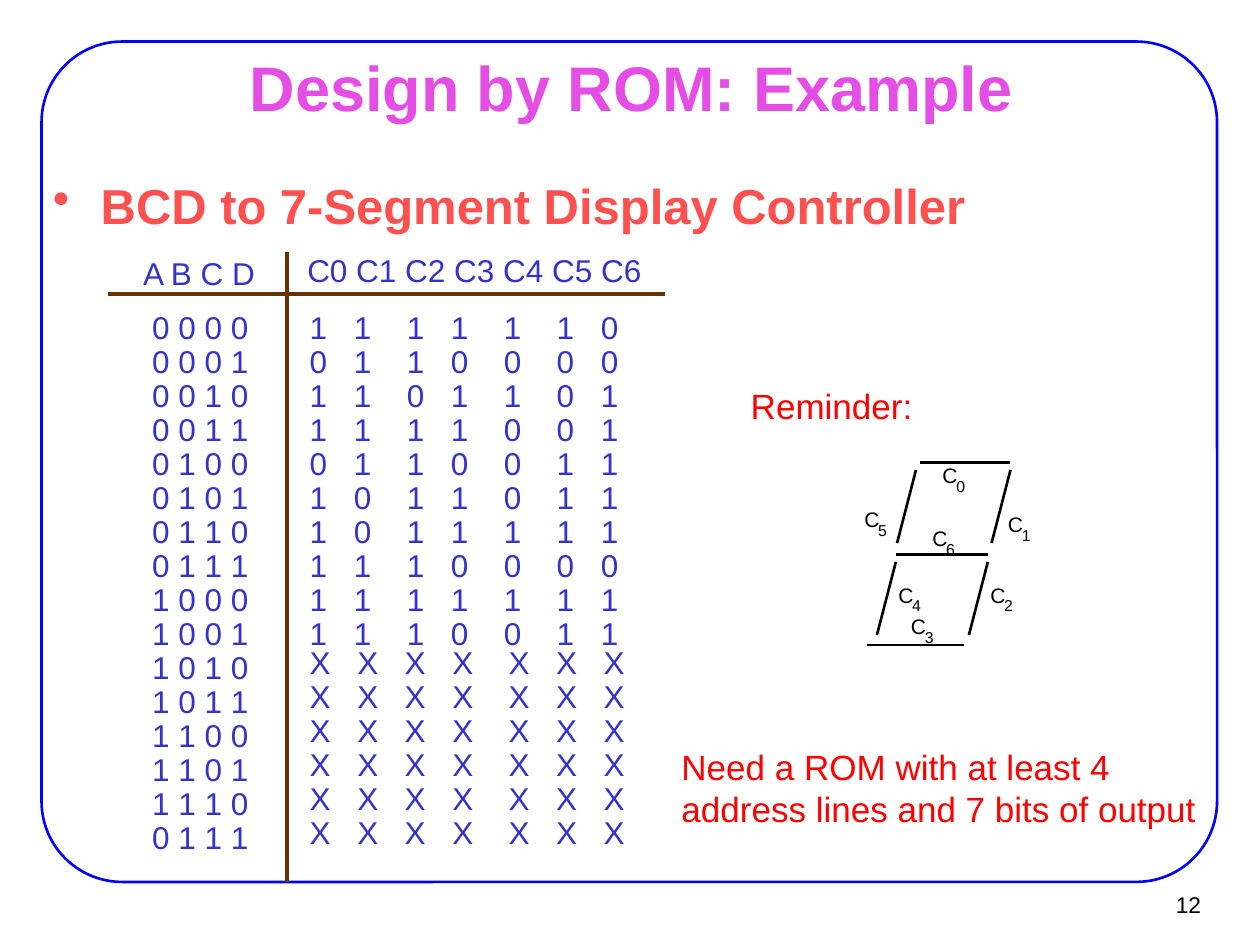
from itertools import accumulate
from lxml.etree import SubElement
from pptx import Presentation
from pptx.dml.color import RGBColor as Rgb
from pptx.enum.shapes import MSO_CONNECTOR as Conn, MSO_SHAPE as Shape
from pptx.enum.text import MSO_ANCHOR as Anchor, PP_ALIGN as Align
from pptx.oxml.ns import qn
from pptx.util import Inches, Pt

WIDE, HIGH = 10, 7.5
HUES = {"frame": "0000FF", "title": "E44EE4", "head": "FF5050", "rule": "663300",
        "cell": "3333CC", "note": "FF0000", "ink": "000000"}

TITLE = "Design by ROM: Example"
HEAD = "BCD to 7-Segment Display Controller"
NEED = "Need a ROM with at least 4 address lines and 7 bits of output"
LOW = ["0000", "0001", "0010", "0011", "0100", "0101", "0110", "0111"]
HIGHER = ["1000", "1001", "1010", "1011", "1100", "1101", "1110", "0111"]
CODES = ["1111110", "0110000", "1101101", "1111001", "0110011",
         "1011011", "1011111", "1110000", "1111111", "1110011"]
UNUSED = ["X" * 7] * 6

# Gaps between output columns, in widths of a space
GAPS = [3, 4, 3, 4, 4, 3]
GAPS_X = [3, 3, 3, 4, 3, 3]
SPACE, DIGIT, CROSS = 0.07, 0.14, 0.167

# Segments: left and top of the start, then the run and the drop
BARS = [(7.3, 3.67, 0.72), (7.11, 4.4, 0.73), (6.88, 5.12, 0.77)]
SLANTS = [(7.27, 3.73), (8.02, 3.73), (7.11, 4.46), (7.84, 4.46)]
LEAN, DROP = -0.15, 0.58
# Place of each label C0 to C6
LABELS = [(7.48, 3.67), (8, 4.06), (7.86, 4.62), (7.23, 4.87),
          (7.13, 4.62), (6.86, 4.02), (7.4, 4.17)]

deck = Presentation()
deck.slide_width, deck.slide_height = Inches(WIDE), Inches(HIGH)
slide = deck.slides.add_slide(deck.slide_layouts[6])


def write(lines, box, size, hue, home=slide, bold=False, align=Align.LEFT,
          anchor=Anchor.TOP, pad=(0.1, 0.05), wrap=True, lead=None, tabs=()):
    """Add a text box with one paragraph per line and return it."""
    shape = home.shapes.add_textbox(*map(Inches, box))
    frame = shape.text_frame
    frame.word_wrap, frame.vertical_anchor = wrap, anchor
    frame.margin_left = frame.margin_right = Inches(pad[0])
    frame.margin_top = frame.margin_bottom = Inches(pad[1])
    frame.text = "\n".join(lines)
    for para in frame.paragraphs:
        para.alignment, para.line_spacing = align, lead
        font = para.runs[0].font
        font.name, font.size, font.bold = "Arial", Pt(size), bold
        font.color.rgb = Rgb.from_string(HUES[hue])
        if tabs:
            stops = SubElement(para._p.get_or_add_pPr(), qn("a:tabLst"))
            for stop in tabs:
                SubElement(stops, qn("a:tab"), pos=str(Inches(stop)), algn="l")
    return shape


def draw(x, y, run, drop, hue="ink", width=1.5):
    line = slide.shapes.add_connector(
        Conn.STRAIGHT, *map(Inches, (x, y, x + run, y + drop)))
    line.line.color.rgb = Rgb.from_string(HUES[hue])
    line.line.width = Pt(width)
    SubElement(line._element.spPr, qn("a:effectLst"))


def cells(lines, box, **form):
    write(lines, box, 18, "cell", anchor=Anchor.MIDDLE, lead=0.9, **form)


def stops(gaps, glyph):
    """Tab stops for columns of one glyph, set apart by the gaps."""
    return list(accumulate(glyph + gap * SPACE for gap in gaps))


# Frame, page number and headings
frame = slide.shapes.add_shape(
    Shape.ROUNDED_RECTANGLE, *map(Inches, (0.33, 0.33, WIDE - 0.67, 6.67)))
frame.adjustments[0] = 0.096
frame.fill.background()
frame.line.color.rgb = Rgb.from_string(HUES["frame"])
frame.line.width = Pt(1.5)
frame.shadow.inherit = False

write(["12"], (9.02, 6.99, 0.61, 0.37), 13, "ink", align=Align.RIGHT,
      anchor=Anchor.MIDDLE)
write([TITLE], (0.76, 0.44, 8.5, 0.49), 36, "title", bold=True,
      align=Align.CENTER, anchor=Anchor.MIDDLE, pad=(0.11, 0.06))
head = write([HEAD], (0.31, 1.33, 8.5, 5.08), 28, "head", bold=True, pad=(0.11, 0.06))
para = head.text_frame.paragraphs[0]
para.space_before = Pt(4)
props = para._p.get_or_add_pPr()
props.set("marL", str(Inches(0.38)))
props.set("indent", str(-Inches(0.38)))
SubElement(props, qn("a:buChar"), char="•")

# Truth table
draw(2.28, 2, 0, 5, "rule", 2.25)
draw(0.86, 2.33, 4.42, 0, "rule", 2.25)
cells([" ".join("ABCD")], (1.03, 2, 1.1, 0.37), align=Align.CENTER, wrap=False)
cells([" ".join(f"C{n}" for n in range(7))], (2.34, 1.98, 2.95, 0.37))
for rows, top in ((LOW, 2.42), (HIGHER, 4.58)):
    cells([" ".join(row) for row in rows], (1.11, top, 0.97, 2.27))
for rows, top, tall, tabs in ((CODES, 2.42, 2.81, stops(GAPS, DIGIT)),
                              (UNUSED, 5.08, 1.73, stops(GAPS_X, CROSS))):
    cells(["\t".join(row) for row in rows], (2.36, top, 2.75, tall), tabs=tabs)

# Seven-segment display
for x, y, run in BARS:
    draw(x, y, run, 0)
for x, y in SLANTS:
    draw(x, y, LEAN, DROP)
for n, (x, y) in enumerate(LABELS):
    pair = slide.shapes.add_group_shape()
    for text, box, size in (("C", (x, y, 0.17, 0.2), 12),
                            (str(n), (x + 0.11, y + 0.11, 0.1, 0.15), 9)):
        write([text], box, size, "ink", home=pair, pad=(0, 0), wrap=False)

# Notes
write(["Reminder:"], (5.86, 3, 2.19, 0.44), 20, "note")
write([NEED], (5.31, 5.87, 4.38, 0.77), 20, "note")

deck.save("out.pptx")
